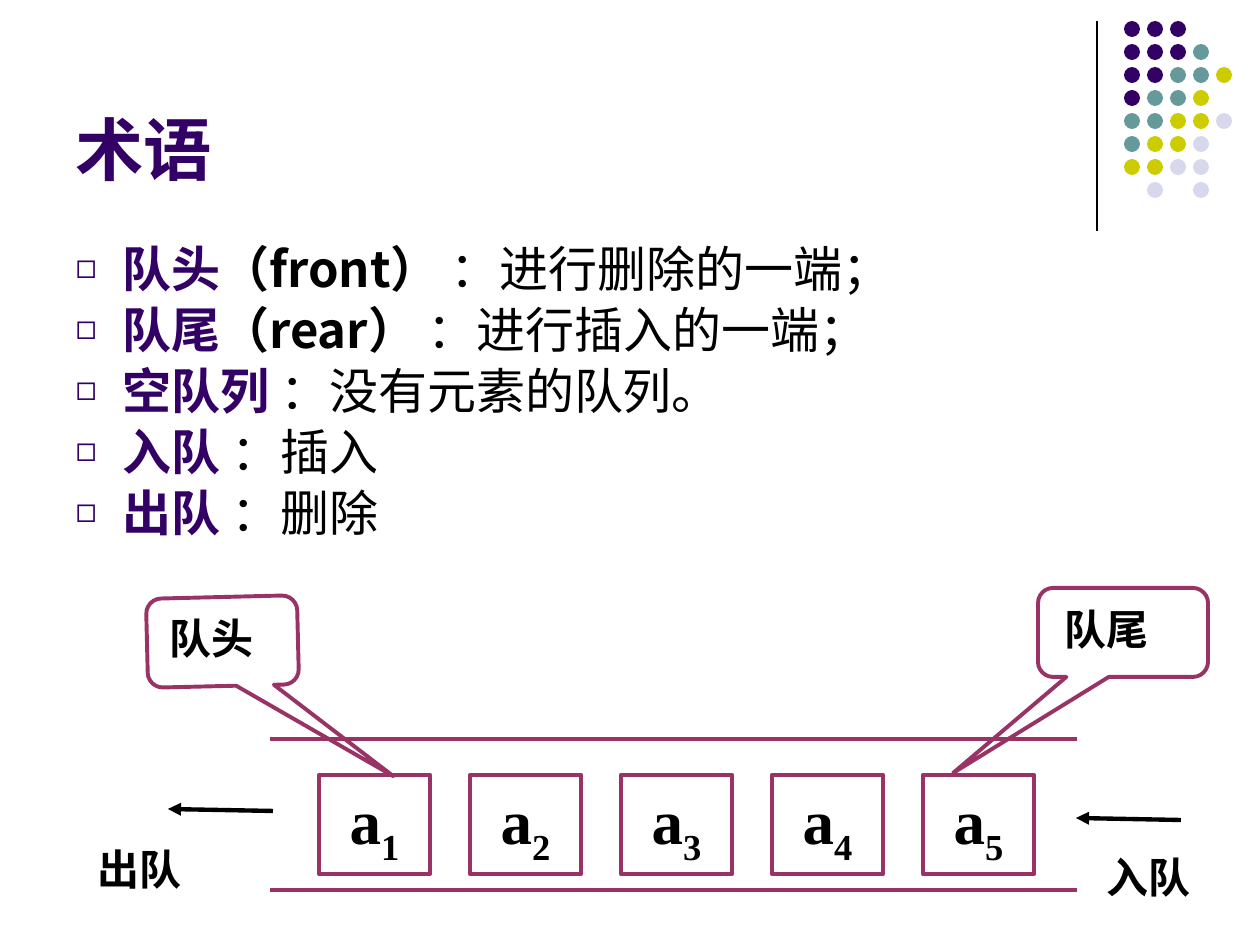
import pptx
import pptx.util
import pptx.dml.color
import pptx.enum.shapes
import pptx.enum.text
import pptx.oxml

RGB = pptx.dml.color.RGBColor
KIND = pptx.enum.shapes.MSO_SHAPE
ALIGN = pptx.enum.text.PP_ALIGN
ANCHOR = pptx.enum.text.MSO_ANCHOR
FIT = pptx.enum.text.MSO_AUTO_SIZE
Pt = pptx.util.Pt

INK = RGB(0x33, 0x00, 0x66)
TEAL = RGB(0x66, 0x99, 0x99)
LIME = RGB(0xCC, 0xCC, 0x00)
PALE = RGB(0xD8, 0xD8, 0xEC)
PLUM = RGB(0x99, 0x33, 0x66)
BLACK = RGB(0, 0, 0)
WHITE = RGB(255, 255, 255)

PX = 914400 / 126
HAN = "Noto Sans CJK SC"
NS = 'xmlns:a="http://schemas.openxmlformats.org/drawingml/2006/main"'

HEAD = dict(name="Arial", size=Pt(39), bold=True, color=INK)
TERM = dict(name=HAN, size=Pt(28), bold=True, color=INK)
WORD = dict(TERM, color=BLACK)
PLAIN = dict(WORD, name="Arial", bold=False)
LABEL = dict(name="Times New Roman", size=Pt(24), bold=True, color=BLACK)
CELL = dict(LABEL, size=Pt(36))


def emu(*sizes):
    return [round(size * PX) for size in sizes]


def node(tag, attrs):
    return pptx.oxml.parse_xml(f"<a:{tag} {NS} {attrs}/>")


class Page:
    """Holds the deck, its current slide and the drawing style."""

    def __init__(self):
        self.deck = pptx.Presentation()
        self.deck.slide_width, self.deck.slide_height = emu(1260, 945)
        self.slide = self.deck.slides.add_slide(self.deck.slide_layouts[1])
        self.shapes = self.slide.shapes

    def words(self, para, text, style):
        run = para.add_run()
        run.text = text
        for key, value in style.items():
            if key == "color":
                run.font.color.rgb = value
            else:
                setattr(run.font, key, value)
        run._r.get_or_add_rPr().append(node("ea", f'typeface="{HAN}"'))
        return run

    def frame(self, shape, **values):
        frame = shape.text_frame
        values = dict(word_wrap=True, auto_size=FIT.NONE, vertical_anchor=ANCHOR.TOP) | values
        for key, value in values.items():
            setattr(frame, key, value)
        return frame

    def place(self, shape, *box):
        for key, value in zip(("left", "top", "width", "height"), emu(*box)):
            setattr(shape, key, value)

    def title(self, text, *box):
        shape = self.shapes.title
        self.place(shape, *box)
        para = self.frame(shape, vertical_anchor=ANCHOR.BOTTOM).paragraphs[0]
        para.alignment = ALIGN.LEFT
        self.words(para, text, HEAD)

    def bullets(self, items, *box):
        shape = self.slide.placeholders[1]
        self.place(shape, *box)
        frame = self.frame(shape, margin_top=emu(11)[0])
        for index, item in enumerate(items):
            para = frame.paragraphs[0] if index == 0 else frame.add_paragraph()
            para.space_before = Pt(7 if index else 0)
            para.line_spacing = 0.83
            props = para._p.get_or_add_pPr()
            indent = emu(47)[0]
            props.set("marL", str(indent))
            props.set("indent", str(-indent))
            color = node("buClr", "")
            color.append(node("srgbClr", f'val="{INK}"'))
            props.append(color)
            props.append(node("buSzPct", 'val="70000"'))
            props.append(node("buChar", 'char="◻"'))
            for text, style in item:
                self.words(para, text, style)

    def shape(self, kind, box, fill=None, line=None, width=2.25):
        shape = self.shapes.add_shape(kind, *emu(*box))
        shape.shadow.inherit = False
        if fill is None:
            shape.fill.background()
        else:
            shape.fill.solid()
            shape.fill.fore_color.rgb = fill
        if line is None:
            shape.line.fill.background()
        else:
            shape.line.color.rgb = line
            shape.line.width = Pt(width)
        return shape

    def callout(self, box, adjust, turn=0):
        shape = self.shape(KIND.ROUNDED_RECTANGULAR_CALLOUT, box, line=PLUM)
        for index, value in enumerate(adjust):
            shape.adjustments[index] = value
        shape.rotation = turn

    def cell(self, digit, *box):
        shape = self.shape(KIND.RECTANGLE, box, WHITE, PLUM, 2.5)
        para = self.frame(shape, vertical_anchor=ANCHOR.MIDDLE).paragraphs[0]
        para.alignment = ALIGN.CENTER
        self.words(para, "a", CELL)
        low = self.words(para, digit, CELL)
        low._r.get_or_add_rPr().set("baseline", "-25000")

    def label(self, text, *box):
        shape = self.shapes.add_textbox(*emu(*box))
        self.words(self.frame(shape).paragraphs[0], text, LABEL)

    def line(self, ends, color, width=2.5, arrow=False):
        line = self.shapes.add_connector(pptx.enum.shapes.MSO_CONNECTOR.STRAIGHT, *emu(*ends))
        line.line.color.rgb = color
        line.line.width = Pt(width)
        props = line._element.spPr
        if arrow:
            props.get_or_add_ln().append(node("tailEnd", 'type="triangle"'))
        props.append(node("effectLst", ""))


def main():
    page = Page()
    page.line((1097, 21, 1097, 231), BLACK, 0.75)
    hues = dict(I=INK, T=TEAL, L=LIME, P=PALE)
    dots = ("III", "IIIT", "IITTL", "ITTL", "TTLLP", "TLLP", "LLPP", " P P")
    for row, marks in enumerate(dots):
        for col, mark in enumerate(marks):
            if mark in hues:
                page.shape(KIND.OVAL, (1124 + 23 * col, 21 + 23 * row, 16, 16), hues[mark])

    page.bullets([
        [("队头", TERM), ("（front）", WORD), (" ：进行删除的一端；", PLAIN)],
        [("队尾", TERM), ("（rear）", WORD), (" ：进行插入的一端；", PLAIN)],
        [("空队列 ", TERM), ("：没有元素的队列。", PLAIN)],
        [("入队 ", TERM), ("：插入", PLAIN)],
        [("出队 ", TERM), ("：删除", PLAIN)],
    ], 63, 237, 1134, 607)
    page.title("术语", 63, 16, 1040, 179)

    for index in range(5):
        page.cell(str(index + 1), 319 + 151 * index, 775, 111, 99)
    for y in (739, 890):
        page.line((270, y, 1077, y), PLUM)
    page.line((273, 811, 168, 809), BLACK, arrow=True)
    page.line((1181, 820, 1076, 818), BLACK, arrow=True)
    page.callout((1038, 588, 170, 89), (-1, 1.58, 0.17))
    page.callout((178, 566, 89, 151), (-1.56, 1.11, 0.17), 268.6)

    labels = (("队尾", 1052, 597), ("队头", 157, 606), ("入队", 1094, 845), ("出队", 85, 837))
    for text, x, y in labels:
        page.label(text, x, y, 166, 63)
    page.deck.save("out.pptx")


if __name__ == "__main__":
    main()
